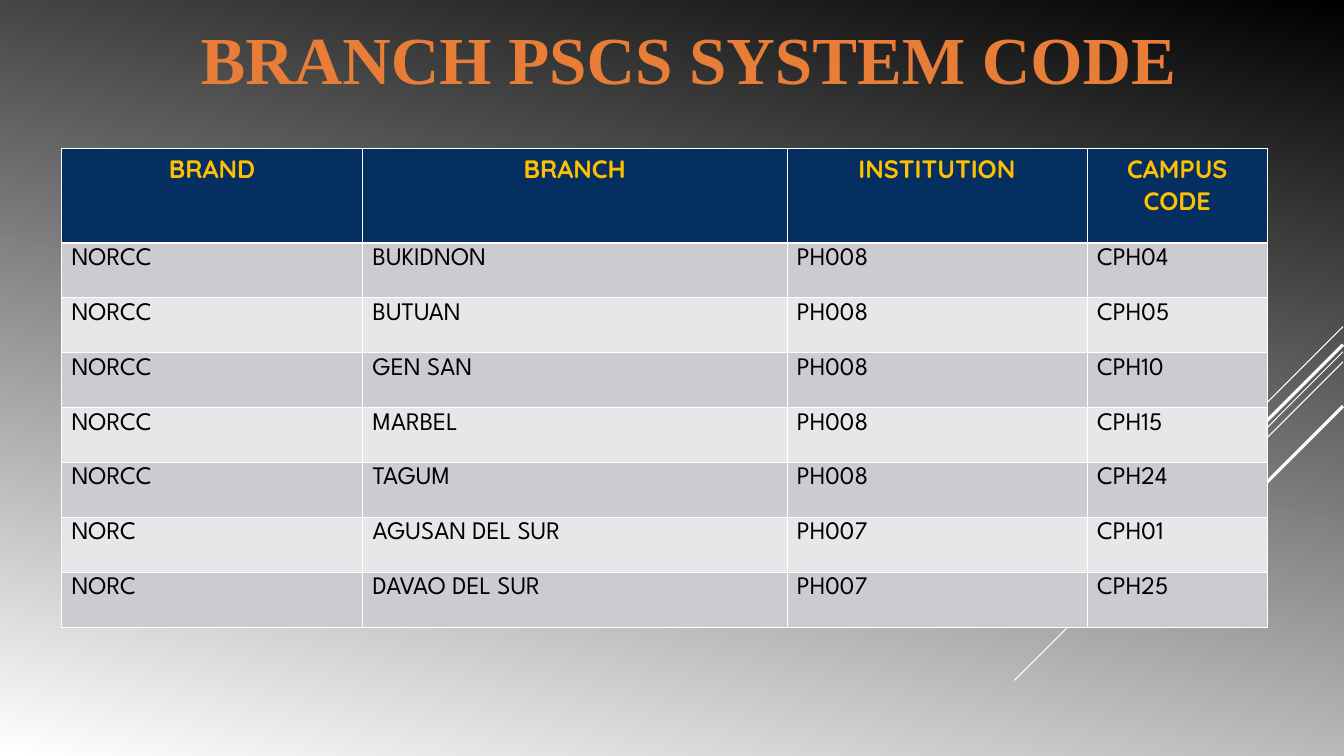
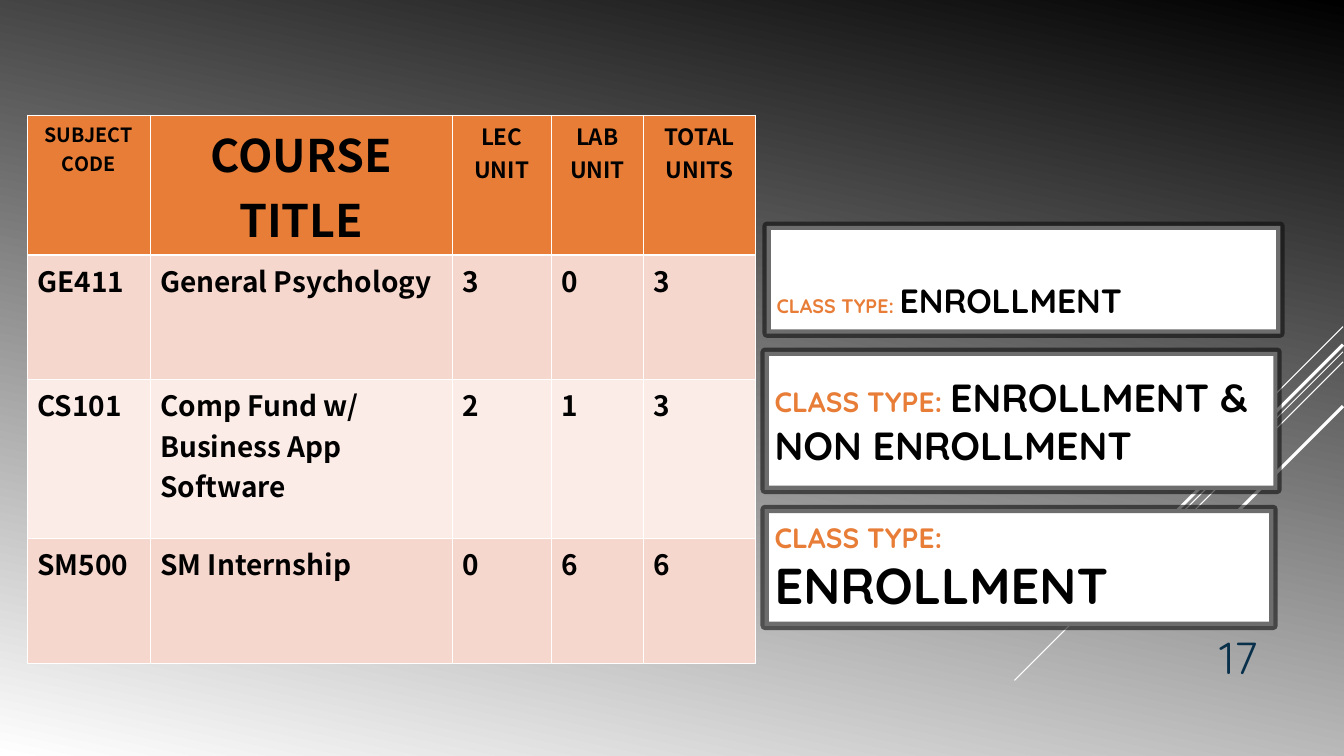
from lxml import etree
from pptx import Presentation
from pptx.dml.color import RGBColor
from pptx.enum.shapes import MSO_CONNECTOR, MSO_SHAPE
from pptx.enum.text import MSO_ANCHOR, PP_ALIGN
from pptx.oxml.ns import qn
from pptx.util import Inches, Pt

# Shared look
COLORS = {
    "black": "000000", "white": "FFFFFF", "orange": "E87D37", "gold": "FFC000",
    "navy": "052F61", "gray": "CBCCD2", "light_gray": "E7E7EA",
    "peach": "F6D7CD", "light_peach": "FBECE7",
    "frame": "0C0C0C", "number": "09304A",
}
GRADIENT_ANGLE = 258
# Diagonal lines rise to the right edge: start height, run, width in points
EDGE = 13.33
DIAGONALS = [(3.24, 1.0, 0.75), (3.49, 3.26, 0.75), (3.59, 2.07, 0.75),
             (3.42, 1.91, 2.25), (4.03, 1.39, 2.25)]
THIN, THICK = 0.45, 1.47

# Slide 1 content
TITLE = "BRANCH PSCS SYSTEM CODE"
BRANCHES = {
    "at": (0.61, 1.47),
    "cols": [2.99, 4.21, 2.98, 1.79],
    "rows": [0.94] + [3.81 / 7] * 7,
    "header": ["BRAND", "BRANCH", "INSTITUTION", "CAMPUS CODE"],
    "body": [
        ["NORCC", "BUKIDNON", "PH008", "CPH04"],
        ["NORCC", "BUTUAN", "PH008", "CPH05"],
        ["NORCC", "GEN SAN", "PH008", "CPH10"],
        ["NORCC", "MARBEL", "PH008", "CPH15"],
        ["NORCC", "TAGUM", "PH008", "CPH24"],
        ["NORC", "AGUSAN DEL SUR", "PH007", "CPH01"],
        ["NORC", "DAVAO DEL SUR", "PH007", "CPH25"],
    ],
    "header_fill": "navy", "bands": ("gray", "light_gray"),
    "header_font": ("Quicksand", "gold", True), "header_sizes": [18] * 4,
    "body_font": ("League Spartan", "black", False), "body_size": 18,
}

# Slide 2 content
SUBJECTS = {
    "at": (0.27, 1.14),
    "cols": [1.22, 3.0, 0.98, 0.92, 1.11],
    "rows": [1.25, 1.23, 1.58, 1.24],
    "header": ["SUBJECT CODE", "COURSE TITLE", "LEC UNIT", "LAB\nUNIT", "TOTAL UNITS"],
    "body": [
        ["GE411", "General Psychology", "3", "0", "3"],
        ["CS101", "Comp Fund w/ Business App Software", "2", "1", "3"],
        ["SM500", "SM Internship", "0", "6", "6"],
    ],
    "header_fill": "orange", "bands": ("peach", "light_peach"),
    "header_font": ("Noto Sans CJK JP", "black", True),
    "header_sizes": [14, 32, 16, 16, 16],
    "body_font": ("Noto Sans CJK JP", "black", True), "body_size": 20,
}
LABEL = "CLASS TYPE: "
# Position, label size, class type, its size, line spacing
CLASS_TYPES = [
    ((7.59, 5.05, 5.05, 1.16), 20, "ENROLLMENT", 36, 1),
    ((7.59, 3.49, 5.09, 1.37), 20, "ENROLLMENT & NON ENROLLMENT", 28, 1),
    ((7.61, 2.24, 5.10, 1.07), 14, "ENROLLMENT", 24, 2),
]
PAGE_NUMBER = "17"


def rgb(name):
    return RGBColor.from_string(COLORS[name])


def style_run(r, size, face, color, bold):
    r.font.size, r.font.name, r.font.bold = Pt(size), face, bold
    r.font.color.rgb = rgb(color)


def new_slide(prs):
    """Add a slide with the gradient background and diagonal lines."""
    slide = prs.slides.add_slide(prs.slide_layouts[6])
    fill = slide.background.fill
    fill.gradient()
    fill.gradient_angle = GRADIENT_ANGLE
    for stop, color in zip(fill.gradient_stops, ("black", "white")):
        stop.color.rgb = rgb(color)
    for top, run, width in DIAGONALS:
        line = slide.shapes.add_connector(
            MSO_CONNECTOR.STRAIGHT, Inches(EDGE), Inches(top),
            Inches(EDGE - run), Inches(top + run))
        line.line.color.rgb = rgb("white")
        line.line.width = Pt(width)
        etree.SubElement(line._element.spPr, qn("a:effectLst"))
    return slide


def set_borders(cell, top, bottom):
    tcPr = cell._tc.get_or_add_tcPr()
    sides = [("L", THIN), ("R", THIN), ("T", top), ("B", bottom)]
    for i, (side, width) in enumerate(sides):
        ln = etree.Element(qn(f"a:ln{side}"), w=str(int(Pt(width))))
        solid = etree.SubElement(ln, qn("a:solidFill"))
        etree.SubElement(solid, qn("a:srgbClr"), val=COLORS["white"])
        tcPr.insert(i, ln)


def add_grid(slide, data):
    cols, rows = data["cols"], data["rows"]
    left, top = data["at"]
    table = slide.shapes.add_table(
        len(rows), len(cols), Inches(left), Inches(top),
        Inches(sum(cols)), Inches(sum(rows))).table
    table.first_row = table.horz_banding = False
    for column, width in zip(table.columns, cols):
        column.width = Inches(width)
    for row, height in zip(table.rows, rows):
        row.height = Inches(height)
    for i, texts in enumerate([data["header"]] + data["body"]):
        fill = data["bands"][(i - 1) % 2] if i else data["header_fill"]
        font = data["body_font"] if i else data["header_font"]
        for j, text in enumerate(texts):
            cell = table.cell(i, j)
            cell.fill.solid()
            cell.fill.fore_color.rgb = rgb(fill)
            set_borders(cell, THICK if i == 1 else THIN, THIN if i else THICK)
            cell.text_frame.text = text
            size = data["body_size"] if i else data["header_sizes"][j]
            for p in cell.text_frame.paragraphs:
                p.alignment = PP_ALIGN.LEFT if i else PP_ALIGN.CENTER
                style_run(p.runs[0], size, *font)


def add_text(slide, at, text, align, anchor, font):
    tf = slide.shapes.add_textbox(*map(Inches, at)).text_frame
    tf.word_wrap = True
    tf.vertical_anchor = anchor
    tf.text = text
    p = tf.paragraphs[0]
    p.alignment = align
    style_run(p.runs[0], *font)


def add_class_type(slide, at, label_size, text, size, spacing):
    sp = slide.shapes.add_shape(MSO_SHAPE.RECTANGLE, *map(Inches, at))
    sp.shadow.inherit = False
    sp.fill.solid()
    sp.fill.fore_color.rgb = rgb("white")
    sp.line.color.rgb = rgb("frame")
    sp.line.width = Pt(6)
    # Translucent frame
    frame_color = sp._element.spPr.find(qn("a:ln")).find(".//" + qn("a:srgbClr"))
    etree.SubElement(frame_color, qn("a:alpha"), val="60000")
    tf = sp.text_frame
    tf.word_wrap = True
    tf.vertical_anchor = MSO_ANCHOR.MIDDLE
    p = tf.paragraphs[0]
    p.alignment = PP_ALIGN.LEFT
    p.line_spacing = float(spacing)
    for words, points, color in [(LABEL, label_size, "orange"), (text, size, "black")]:
        r = p.add_run()
        r.text = words
        style_run(r, points, "Quicksand", color, True)


def main():
    prs = Presentation()
    prs.slide_width, prs.slide_height = Inches(13.34), Inches(7.5)

    # Branch codes
    slide = new_slide(prs)
    add_grid(slide, BRANCHES)
    add_text(slide, (1.42, 0.12, 10.83, 0.9), TITLE, PP_ALIGN.CENTER,
             MSO_ANCHOR.TOP, (48, "Times New Roman", "orange", True))

    # Subjects and their class types
    slide = new_slide(prs)
    for class_type in CLASS_TYPES:
        add_class_type(slide, *class_type)
    add_grid(slide, SUBJECTS)
    add_text(slide, (11.33, 6.1, 1.25, 0.73), PAGE_NUMBER, PP_ALIGN.RIGHT,
             MSO_ANCHOR.BOTTOM, (32, "Quicksand", "number", False))

    prs.save("out.pptx")


if __name__ == "__main__":
    main()
